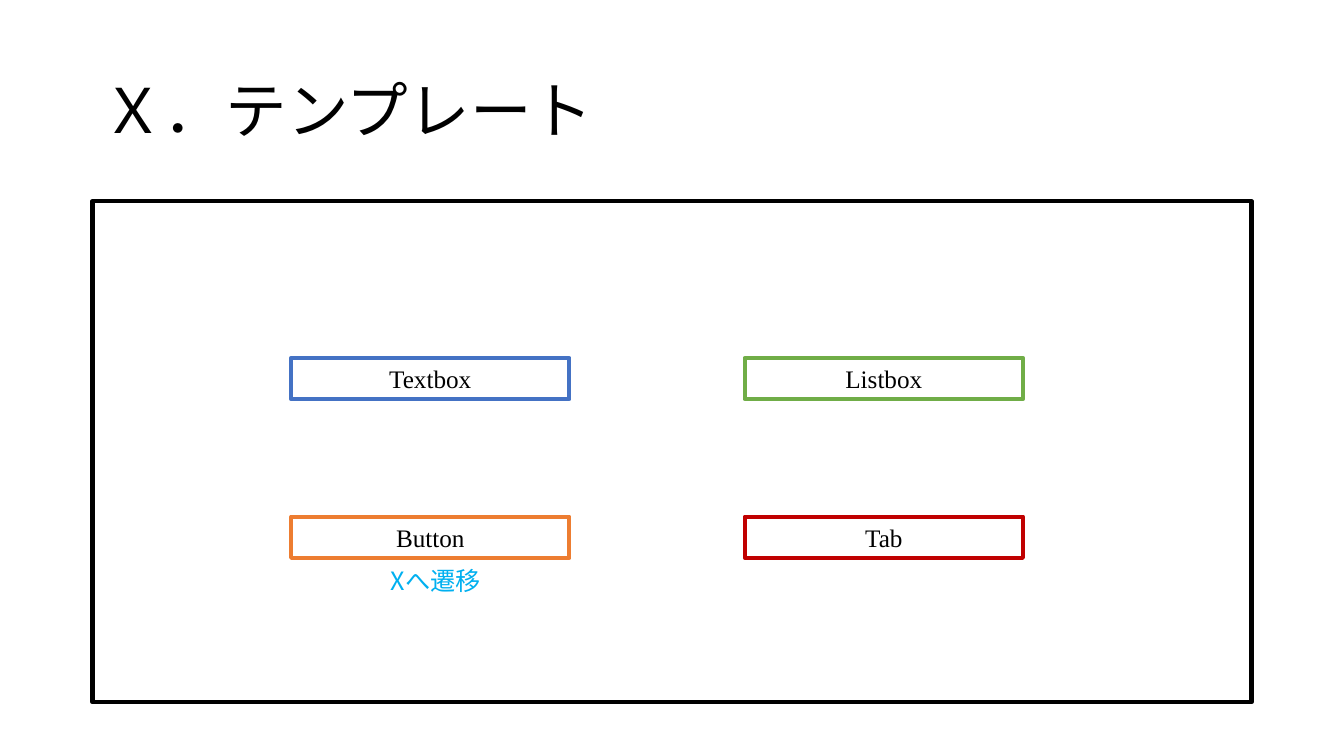
import lxml.etree
import pptx
import pptx.dml.color
import pptx.enum.shapes
import pptx.enum.text
import pptx.oxml.ns
import pptx.util

Cm = pptx.util.Cm
Pt = pptx.util.Pt
RGBColor = pptx.dml.color.RGBColor
ALIGN = pptx.enum.text.PP_ALIGN
ANCHOR = pptx.enum.text.MSO_ANCHOR

BLACK = RGBColor(0x00, 0x00, 0x00)
BLUE = RGBColor(0x44, 0x72, 0xC4)
ORANGE = RGBColor(0xED, 0x7D, 0x31)
GREEN = RGBColor(0x70, 0xAD, 0x47)
RED = RGBColor(0xC0, 0x00, 0x00)
SKY = RGBColor(0x00, 0xB0, 0xF0)


class Sketch:
    """Holds the style and the current slide, and draws its elements."""

    sans = "Noto Sans CJK JP"
    serif = "Times New Roman"
    body = Pt(18)
    edge = Pt(3)

    def __init__(self, slide):
        self.slide = slide

    def style(self, para, font, size, color):
        for run in para.runs:
            run.font.size = size
            run.font.color.rgb = color
            run.font.name = font
            asian = pptx.oxml.ns.qn("a:ea")
            lxml.etree.SubElement(run.font._rPr, asian).set("typeface", font)

    def text(self, words, place, size, color, anchor=ANCHOR.TOP, lead=1.0):
        box = self.slide.shapes.add_textbox(*map(Cm, place))
        frame = box.text_frame
        frame.word_wrap = True
        frame.vertical_anchor = anchor
        frame.text = words
        para = frame.paragraphs[0]
        para.line_spacing = lead
        self.style(para, self.sans, size, color)

    def frame(self, place, color):
        kind = pptx.enum.shapes.MSO_SHAPE.RECTANGLE
        rect = self.slide.shapes.add_shape(kind, *map(Cm, place))
        rect.shadow.inherit = False
        rect.fill.background()
        rect.line.color.rgb = color
        rect.line.width = self.edge
        return rect

    def widget(self, words, place, color):
        frame = self.frame(place, color).text_frame
        frame.vertical_anchor = ANCHOR.MIDDLE
        frame.text = words
        para = frame.paragraphs[0]
        para.alignment = ALIGN.CENTER
        self.style(para, self.serif, self.body, BLACK)


deck = pptx.Presentation()
deck.slide_width = Cm(33.87)
deck.slide_height = Cm(19.05)
sketch = Sketch(deck.slides.add_slide(deck.slide_layouts[6]))

sketch.text("Ｘ．テンプレート", (2.33, 1.01, 29.21, 3.68), Pt(44), BLACK,
            ANCHOR.MIDDLE, 0.9)
sketch.frame((2.33, 5.07, 29.21, 12.63), BLACK)

WIDGETS = [
    [("Textbox", BLUE), ("Listbox", GREEN)],
    [("Button", ORANGE), ("Tab", RED)],
]
for row, line in enumerate(WIDGETS):
    for col, (name, color) in enumerate(line):
        place = (7.34 + 11.43 * col, 9.02 + 4 * row, 7.01, 1.04)
        sketch.widget(name, place, color)

sketch.text("Xへ遷移", (9.6, 14.12, 3.94, 1.02), sketch.body, SKY)

deck.save("out.pptx")
